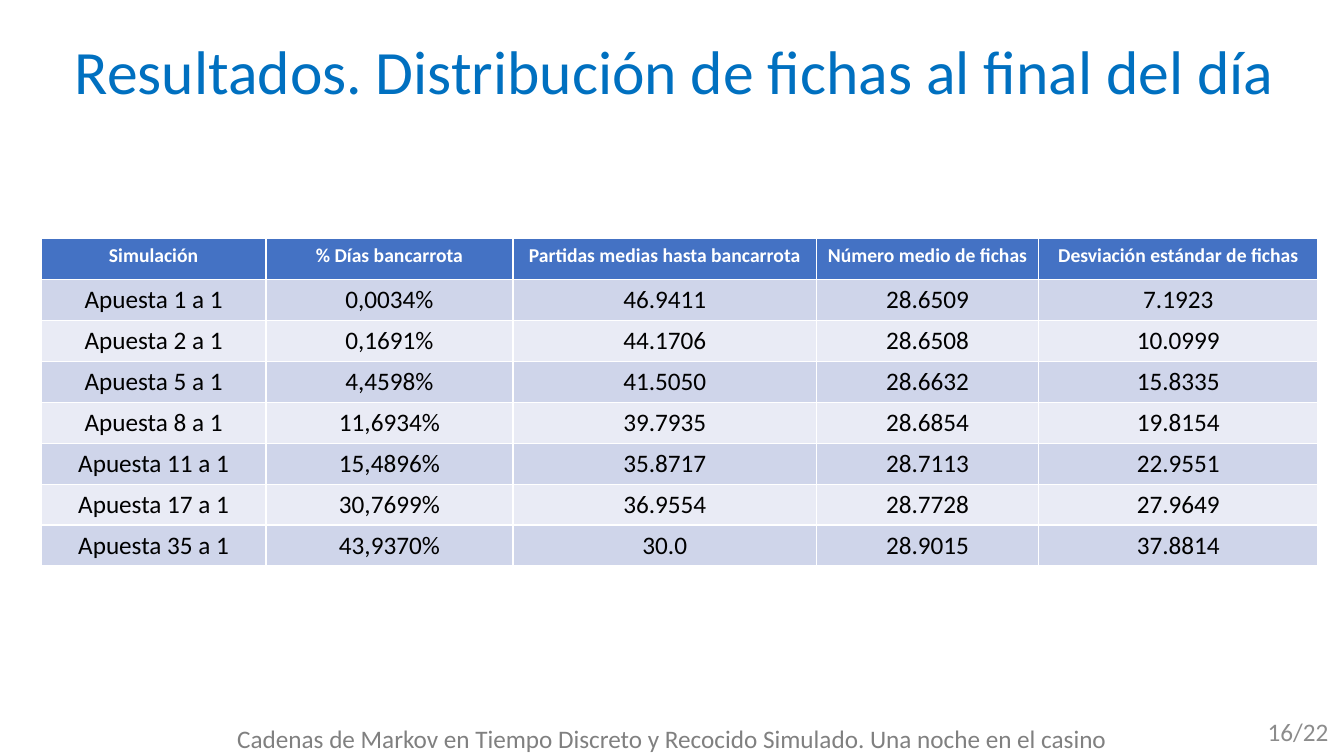
import pptx
import pptx.util
import pptx.dml.color
import pptx.enum.text

Cm = pptx.util.Cm
ALIGN = pptx.enum.text.PP_ALIGN
ANCHOR = pptx.enum.text.MSO_ANCHOR

COLUMN_WIDTHS = [5.66, 6.22, 7.65, 5.59, 7.04]
HEADINGS = [
    "Simulación",
    "% Días bancarrota",
    "Partidas medias hasta bancarrota",
    "Número medio de fichas",
    "Desviación estándar de fichas",
]
SIMULATIONS = [
    ["Apuesta 1 a 1", "0,0034%", "46.9411", "28.6509", "7.1923"],
    ["Apuesta 2 a 1", "0,1691%", "44.1706", "28.6508", "10.0999"],
    ["Apuesta 5 a 1", "4,4598%", "41.5050", "28.6632", "15.8335"],
    ["Apuesta 8 a 1", "11,6934%", "39.7935", "28.6854", "19.8154"],
    ["Apuesta 11 a 1", "15,4896%", "35.8717", "28.7113", "22.9551"],
    ["Apuesta 17 a 1", "30,7699%", "36.9554", "28.7728", "27.9649"],
    ["Apuesta 35 a 1", "43,9370%", "30.0", "28.9015", "37.8814"],
]


def color(hex_code):
    return pptx.dml.color.RGBColor.from_string(hex_code)


def write(frame, text, size, hex_code, align, bold=False):
    frame.text = text
    paragraph = frame.paragraphs[0]
    paragraph.alignment = align
    paragraph.font.name = "Calibri"
    paragraph.font.size = pptx.util.Pt(size)
    paragraph.font.bold = bold
    paragraph.font.color.rgb = color(hex_code)
    return paragraph


def place_title(slide, left, top, width, height):
    title = slide.shapes.title
    title.left, title.top = Cm(left), Cm(top)
    title.width, title.height = Cm(width), Cm(height)
    frame = title.text_frame
    frame.auto_size = pptx.enum.text.MSO_AUTO_SIZE.NONE
    frame.vertical_anchor = ANCHOR.MIDDLE
    heading = write(frame, "Resultados. Distribución de fichas al final del día",
                    44, "0070C0", ALIGN.LEFT)
    heading.line_spacing = 0.9


def place_results(slide, left, top, width, height):
    rows = [HEADINGS] + SIMULATIONS
    results = slide.shapes.add_table(
        len(rows), len(HEADINGS), Cm(left), Cm(top), Cm(width), Cm(height)).table
    for column, column_width in zip(results.columns, COLUMN_WIDTHS):
        column.width = Cm(width * column_width / sum(COLUMN_WIDTHS))
    for row_index, values in enumerate(rows):
        is_header = row_index == 0
        band = "4472C4" if is_header else ("E9EBF5", "CFD5EA")[row_index % 2]
        size, ink = (14, "FFFFFF") if is_header else (18, "000000")
        for column_index, value in enumerate(values):
            cell = results.cell(row_index, column_index)
            cell.fill.solid()
            cell.fill.fore_color.rgb = color(band)
            write(cell.text_frame, value, size, ink, ALIGN.CENTER, is_header)


def place_note(slide, left, top, width, height, text, hex_code, align, anchor):
    note = slide.shapes.add_textbox(Cm(left), Cm(top), Cm(width), Cm(height))
    note.text_frame.word_wrap = True
    note.text_frame.vertical_anchor = anchor
    write(note.text_frame, text, 18, hex_code, align)


def main():
    deck = pptx.Presentation()
    deck.slide_width, deck.slide_height = Cm(33.87), Cm(19.05)
    slide = deck.slides.add_slide(deck.slide_layouts[5])
    place_title(slide, 1.63, 0.53, 31.65, 2.69)
    place_note(slide, 26.11, 17.91, 7.62, 1.02, "16/22",
               "8C8C8C", ALIGN.RIGHT, ANCHOR.MIDDLE)
    place_results(slide, 1.04, 6.02, 32.18, 8.24)
    place_note(slide, 5.49, 18.11, 22.89, 1.02,
               "Cadenas de Markov en Tiempo Discreto y Recocido Simulado. "
               "Una noche en el casino",
               "808080", ALIGN.CENTER, ANCHOR.TOP)
    deck.save("out.pptx")


if __name__ == "__main__":
    main()
